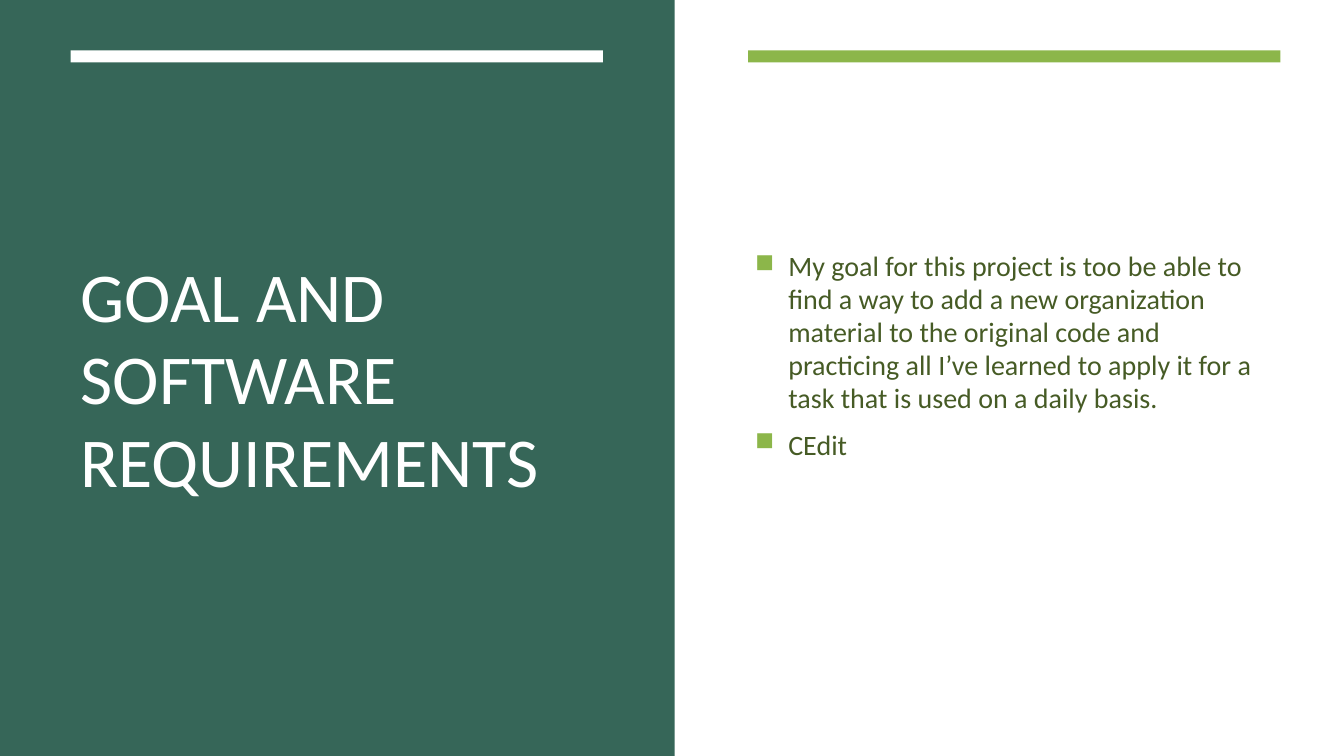
from dataclasses import dataclass

from lxml import etree
from pptx import Presentation
from pptx import util as u
from pptx.dml.color import RGBColor
from pptx.enum import shapes, text
from pptx.oxml.ns import qn

# Content
TITLE = "GOAL AND SOFTWARE REQUIREMENTS"
BULLETS = [
    "My goal for this project is too be able to find a way to add a new "
    "organization material to the original code and practicing all I’ve "
    "learned to apply it for a task that is used on a daily basis.",
    "CEdit",
]


@dataclass(frozen=True)
class Theme:
    font: str = "Calibri"
    white: str = "FFFFFF"
    panel: str = "366658"
    accent: str = "8CB64A"
    body: str = "465B25"
    title_size: int = 50
    body_size: int = 20


theme = Theme()

# Layout, in inches
WIDTH, HEIGHT = 13.33, 7.5
PANEL_WIDTH = 6.69
COLUMN_LEFT, COLUMN_RIGHT, COLUMN_WIDTH = 0.7, 7.42, 5.28
BAR_TOP, BAR_HEIGHT = 0.5, 0.12
TEXT_TOP, TEXT_HEIGHT = 1.13, 5.28
BODY_LEFT, BODY_WIDTH = 7.39, 5.31
BODY_LIFT = 0.53  # bottom inset that raises the centred bullets
BULLET_INDENT = 0.33

RECTANGLES = [
    (0, 0, WIDTH, HEIGHT, theme.white),
    (0, 0, PANEL_WIDTH, HEIGHT, theme.panel),
    (COLUMN_LEFT, BAR_TOP, COLUMN_WIDTH, BAR_HEIGHT, theme.white),
    (COLUMN_RIGHT, BAR_TOP, COLUMN_WIDTH, BAR_HEIGHT, theme.accent),
]


def add_rectangle(slide, left, top, width, height, color):
    box = [u.Inches(value) for value in (left, top, width, height)]
    shape = slide.shapes.add_shape(shapes.MSO_SHAPE.RECTANGLE, *box)
    shape.shadow.inherit = False
    shape.fill.solid()
    shape.fill.fore_color.rgb = RGBColor.from_string(color)
    shape.line.fill.background()


def prepare_frame(shape):
    frame = shape.text_frame
    frame.word_wrap = True
    frame.auto_size = text.MSO_AUTO_SIZE.NONE
    frame.vertical_anchor = text.MSO_ANCHOR.MIDDLE
    return frame


def style_paragraph(paragraph, size, color):
    paragraph.alignment = text.PP_ALIGN.LEFT
    paragraph.line_spacing = 0.98
    paragraph.font.name = theme.font
    paragraph.font.size = u.Pt(size)
    paragraph.font.color.rgb = RGBColor.from_string(color)


def add_bullet(paragraph):
    properties = paragraph._p.get_or_add_pPr()
    indent = u.Inches(BULLET_INDENT)
    properties.set("marL", str(indent))
    properties.set("indent", str(-indent))
    marks = []
    color = etree.Element(qn("a:buClr"))
    etree.SubElement(color, qn("a:srgbClr"), val=theme.accent)
    marks.append(color)
    marks.append(etree.Element(qn("a:buSzPct"), val="92000"))
    marks.append(etree.Element(qn("a:buChar"), char="■"))
    defaults = properties.find(qn("a:defRPr"))
    for mark in marks:
        defaults.addprevious(mark)


def main():
    presentation = Presentation()
    presentation.slide_width = u.Inches(WIDTH)
    presentation.slide_height = u.Inches(HEIGHT)
    slide = presentation.slides.add_slide(presentation.slide_layouts[5])

    # Panels and bars
    for rectangle in RECTANGLES:
        add_rectangle(slide, *rectangle)

    # Title, brought in front of the panel
    title = slide.shapes.title
    title.left, title.top = u.Inches(COLUMN_LEFT), u.Inches(TEXT_TOP)
    title.width, title.height = u.Inches(COLUMN_WIDTH), u.Inches(TEXT_HEIGHT)
    slide.shapes._spTree.append(title._element)
    frame = prepare_frame(title)
    frame.text = TITLE
    style_paragraph(frame.paragraphs[0], theme.title_size, theme.white)

    # Bullets
    body = slide.shapes.add_textbox(
        u.Inches(BODY_LEFT), u.Inches(TEXT_TOP),
        u.Inches(BODY_WIDTH), u.Inches(TEXT_HEIGHT))
    frame = prepare_frame(body)
    frame.margin_bottom = u.Inches(BODY_LIFT)
    frame.text = "\n".join(BULLETS)
    for paragraph in frame.paragraphs:
        style_paragraph(paragraph, theme.body_size, theme.body)
        paragraph.space_before = u.Pt(4)
        paragraph.space_after = u.Pt(6)
        add_bullet(paragraph)

    presentation.save("out.pptx")


if __name__ == "__main__":
    main()
